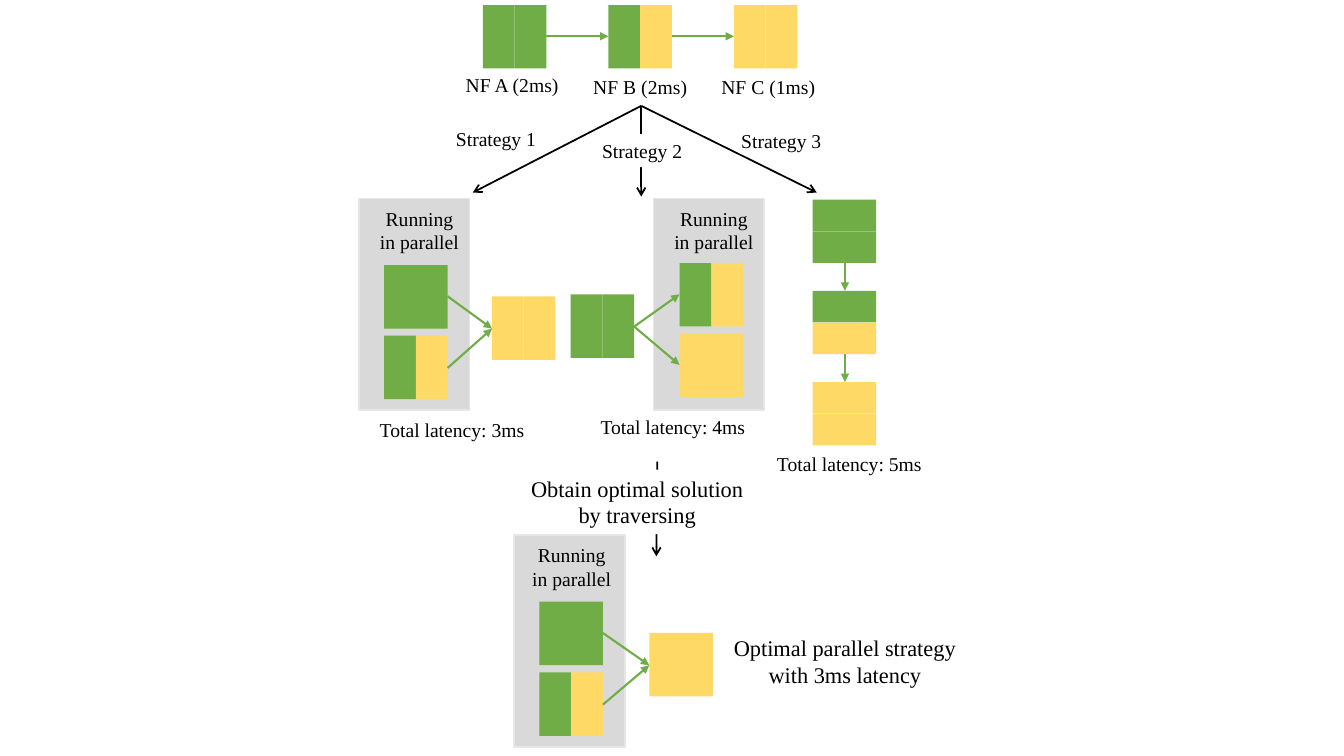
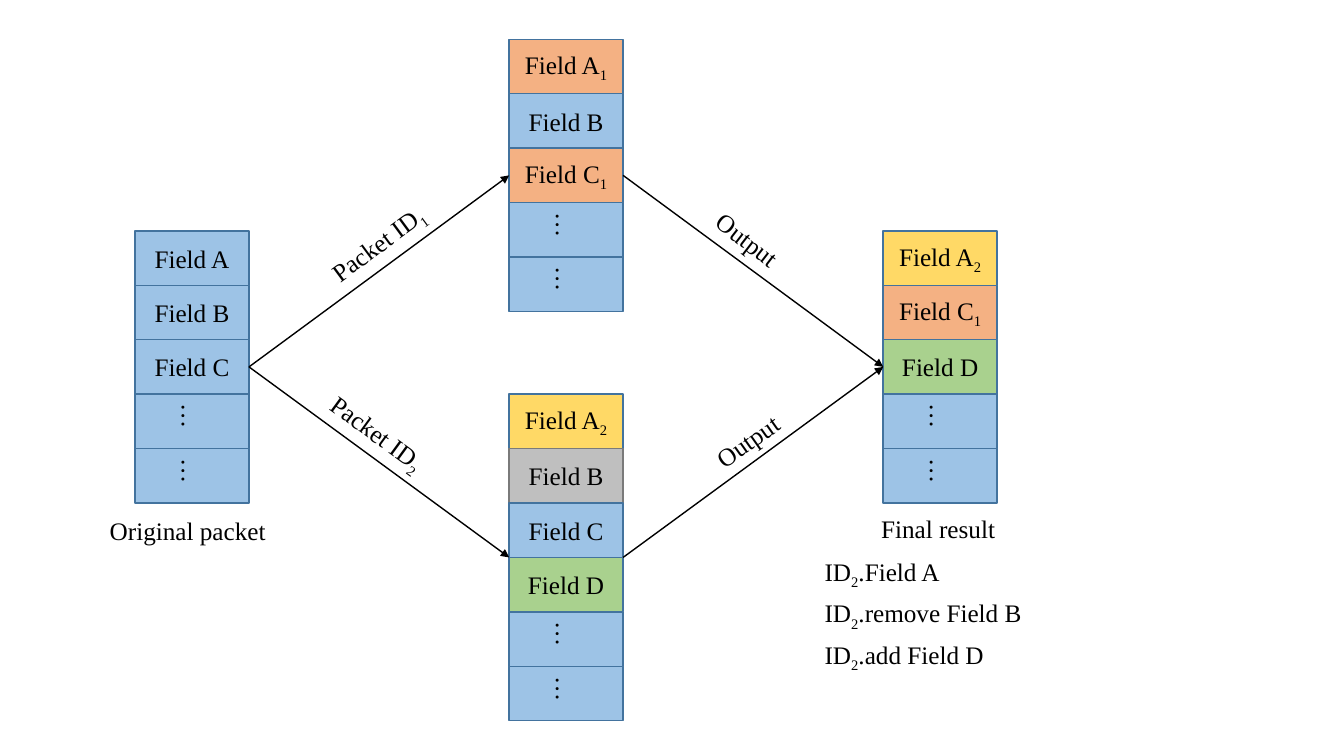
"""Build two slides on parallel network functions and packet merging."""
from dataclasses import dataclass
from lxml.etree import SubElement
from pptx import Presentation
from pptx.dml.color import RGBColor as Rgb
from pptx.enum.shapes import MSO_CONNECTOR as Link, MSO_SHAPE as Form
from pptx.enum.text import MSO_ANCHOR as Anchor, PP_ALIGN as Align
from pptx.oxml.ns import qn
from pptx.util import Inches, Pt


@dataclass(frozen=True)
class Theme:
    face: str = "Times New Roman"
    ink: str = "000000"
    white: str = "FFFFFF"
    green: str = "70AD47"
    gold: str = "FFD966"
    panel: str = "D9D9D9"
    rim: str = "E7E6E6"
    blue: str = "9DC3E6"
    edge: str = "43739E"
    coral: str = "F4B183"
    lime: str = "A9D18E"
    grey: str = "BFBFBF"
    dim: str = "7A7A7A"
    small: int = 14
    mid: int = 16
    large: int = 18


look = Theme()


def box(page, spot, text="", size=look.small, fill=None, line=None,
        align=Align.CENTER, lead=None, turn=0):
    """Add a filled rectangle or a plain text box; _x_ marks a subscript."""
    area = [Inches(n) for n in spot]
    if fill:
        shape = page.shapes.add_shape(Form.RECTANGLE, *area)
        shape.shadow.inherit = False
        shape.fill.solid()
        shape.fill.fore_color.rgb = Rgb.from_string(fill)
        if line:
            shape.line.color.rgb = Rgb.from_string(line)
            shape.line.width = Pt(1)
        else:
            shape.line.fill.background()
    else:
        shape = page.shapes.add_textbox(*area)
    shape.rotation = turn
    frame = shape.text_frame
    frame.word_wrap = True
    frame.vertical_anchor = Anchor.MIDDLE if line else Anchor.TOP
    for i, row in enumerate(text.split("\n") if text else []):
        para = frame.add_paragraph() if i else frame.paragraphs[0]
        para.alignment = align
        para.line_spacing = lead
        para.font.name = look.face
        para.font.size = Pt(size)
        para.font.color.rgb = Rgb.from_string(look.ink)
        for k, part in enumerate(row.split("_")):
            if part:
                run = para.add_run()
                run.text = part
                if k % 2:
                    run.font._element.set("baseline", "-25000")
    return shape


def arrow(page, start, end, color=look.green, width=1.5, head="triangle"):
    """Add a straight arrow between two points."""
    ends = [Inches(n) for n in (*start, *end)]
    link = page.shapes.add_connector(Link.STRAIGHT, *ends)
    link.line.color.rgb = Rgb.from_string(color)
    link.line.width = Pt(width)
    props = link._element.spPr
    SubElement(props.find(qn("a:ln")), qn("a:tailEnd"), type=head)
    SubElement(props, qn("a:effectLst"))


deck = Presentation()
deck.slide_width, deck.slide_height = Inches(13.33), Inches(7.5)
blank = deck.slide_layouts[6]

plan = deck.slides.add_slide(blank)
half, side = 0.315, 0.63
full = (look.green, look.green)
mixed = (look.green, look.gold)
light = (look.gold, look.gold)
nodes = [(5.66, 2.92, full), (6.74, 2.61, mixed), (6.74, 3.31, light)]
links = [((6.29, 3.24), (6.74, 2.92)), ((6.29, 3.24), (6.74, 3.62))]
panels = [(6.48, 1.97, 0.09)]

for left, top, gap, inset in [(3.56, 1.97, 0.44, 0.09), (5.1, 5.31, 0.46, 0.06)]:
    panels.append((left, top, inset))
    goal = left + 0.88 + gap
    nodes += [(left + 0.25, top + 0.66, full), (left + 0.25, top + 1.36, mixed),
              (goal, top + 0.97, light)]
    links += [((left + 0.88, top + drop), (goal, top + 1.29)) for drop in (0.97, 1.68)]

for i, pair in enumerate((full, mixed, light)):
    nodes.append((4.79 + 1.245 * i, 0.05, pair))
    top = 1.98 + 0.905 * i
    for k, color in enumerate(pair):
        box(plan, (8.06, top + half * k, side, half), fill=color)
    if i < 2:
        left = 5.42 + 1.245 * i
        links += [((left, 0.36), (left + 0.615, 0.36)),
                  ((8.38, top + side), (8.38, top + 0.905))]

for left, top, inset in panels:
    box(plan, (left, top, 1.1, 2.1), fill=look.panel, line=look.rim)
    box(plan, (left + inset, top + 0.03, 1.02, 0.57), "Running in parallel")
for left, top, pair in nodes:
    for k, color in enumerate(pair):
        box(plan, (left + half * k, top, half, side), fill=color)
for start, end in links:
    arrow(plan, start, end)
for start, end in [((6.36, 1.05), (4.69, 1.91)), ((6.36, 1.05), (6.36, 1.95)),
                   ((6.36, 1.05), (8.1, 1.91)), ((6.52, 4.58), (6.51, 5.52))]:
    arrow(plan, start, end, look.ink, 1.25, "arrow")

for left, top, wide, text in [
    (4.51, 0.67, 1.14, "NF A (2ms)"), (5.78, 0.69, 1.14, "NF B (2ms)"),
    (7.05, 0.69, 1.14, "NF C (1ms)"), (3.65, 4.1, 1.67, "Total latency: 3ms"),
    (5.84, 4.07, 1.67, "Total latency: 4ms"), (7.59, 4.43, 1.67, "Total latency: 5ms"),
]:
    box(plan, (left, top, wide, 0.34), text)
for i, (left, top, fill) in enumerate(
        [(4.42, 1.21, None), (5.87, 1.33, look.white), (7.25, 1.23, None)], 1):
    box(plan, (left, top, 1, 0.33), f"Strategy {i}", fill=fill, lead=Pt(16.8))
box(plan, (4.97, 4.66, 2.7, 0.64), "Obtain optimal solution\nby traversing",
    look.mid, look.white)
box(plan, (6.99, 6.24, 2.78, 0.64), "Optimal parallel strategy\nwith 3ms latency", look.mid)

merge = deck.slides.add_slide(blank)
plain = [(f"Field {name}", look.blue) for name in "ABC"]
first = ("Field A_1_", look.coral)
third = ("Field C_1_", look.coral)
second = ("Field A_2_", look.gold)
extra = ("Field D", look.lime)
rest = [("…", look.blue)] * 2
for left, top, cells in [
    (1.34, 2.29, plain),
    (5.05, 0.39, [first, plain[1], third]),
    (5.05, 3.91, [second, ("Field B", look.grey), plain[2], extra]),
    (8.76, 2.29, [second, third, extra]),
]:
    for i, (text, fill) in enumerate(cells + rest):
        line = look.dim if fill == look.grey else look.edge
        cell = box(merge, (left, top + 0.54 * i, 1.13, 0.54), text, look.large, fill, line)
        if text == "…":
            cell.text_frame._txBody.bodyPr.set("vert", "eaVert")

for level in (1.74, 5.53):
    arrow(merge, (2.47, 3.64), (5.05, level), look.ink, 1)
    arrow(merge, (6.18, level), (8.76, 3.64), look.ink, 1)

for left, top, wide, turn, text in [
    (3.11, 2.2, 1.31, 323.6, "Packet ID_1_"), (3.11, 4.11, 1.31, 36.2, "Packet ID_2_"),
    (6.96, 2.2, 0.97, 37.8, "Output"), (6.96, 4.15, 0.97, 324.8, "Output"),
    (0.99, 5.06, 1.83, 0, "Original packet"), (8.64, 5.04, 1.37, 0, "Final result"),
    (8.08, 5.47, 1.39, 0, "ID_2_.Field A"), (8.08, 5.88, 2.22, 0, "ID_2_.remove Field B"),
    (8.08, 6.29, 2.22, 0, "ID_2_.add Field D"),
]:
    box(merge, (left, top, wide, 0.4), text, look.large, align=Align.LEFT, turn=turn)

deck.save("out.pptx")
